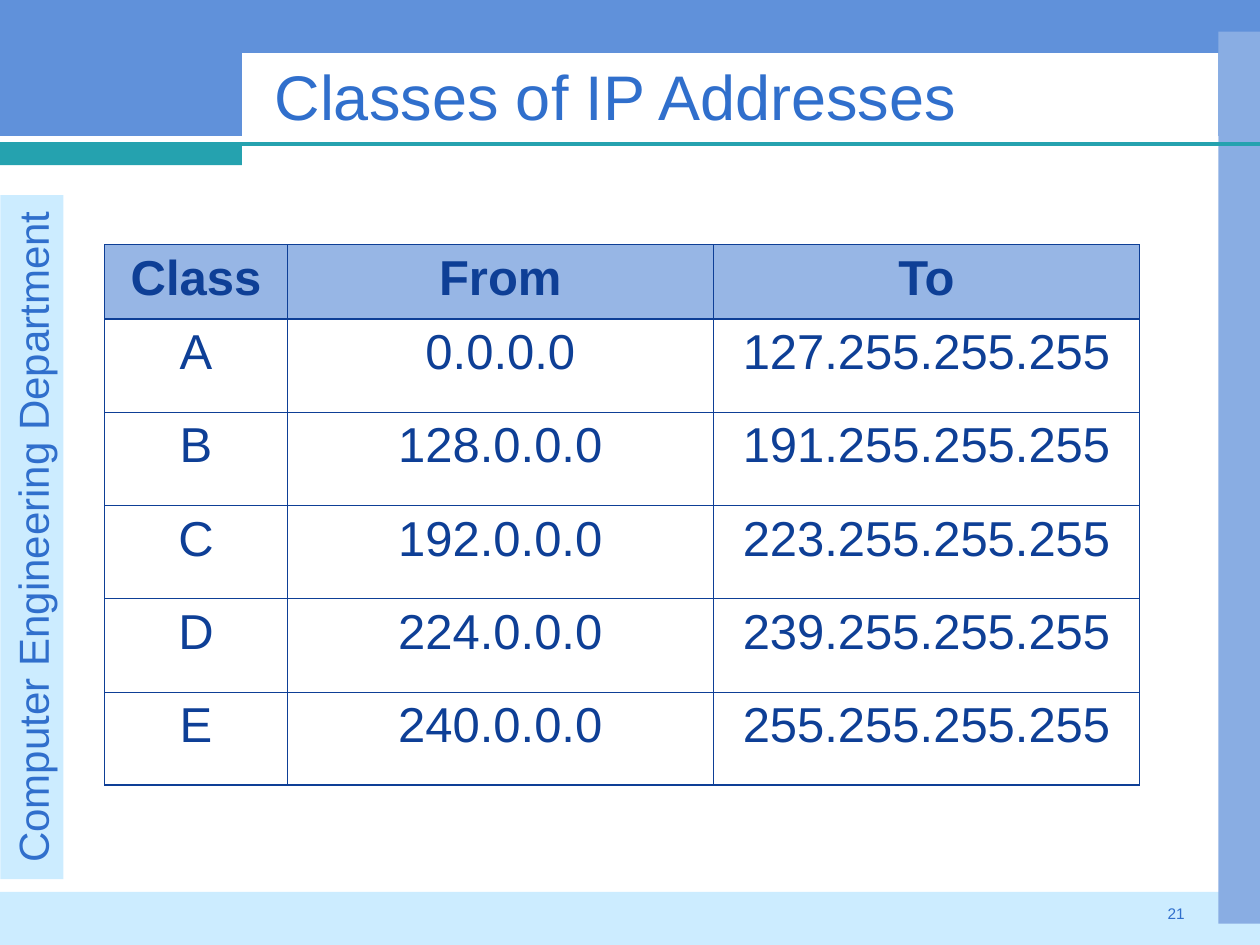
from lxml.etree import SubElement
from pptx import Presentation
from pptx.dml.color import RGBColor
from pptx.enum.shapes import MSO_CONNECTOR, MSO_SHAPE
from pptx.enum.text import MSO_ANCHOR, MSO_AUTO_SIZE, PP_ALIGN
from pptx.oxml.ns import qn
from pptx.util import Cm, Pt

COLOURS = {
    "top": "6091DA",
    "pale": "CCECFF",
    "right": "89ADE3",
    "white": "FFFFFF",
    "teal": "25A2AF",
    "text": "306FCC",
    "table": "0E3F96",
}

# colour, left, top, width, height in cm, from back to front
BANDS = [
    ("top", 0, 0, 25.4, 2.74),
    ("pale", 0, 17.98, 25.4, 1.07),
    ("right", 24.56, 0.64, 0.84, 17.98),
    ("white", 4.88, 1.07, 19.68, 1.9),
    ("teal", 0, 2.9, 4.88, 0.43),
]

ROWS = [
    ("Class", "From", "To"),
    ("A", "0.0.0.0", "127.255.255.255"),
    ("B", "128.0.0.0", "191.255.255.255"),
    ("C", "192.0.0.0", "223.255.255.255"),
    ("D", "224.0.0.0", "239.255.255.255"),
    ("E", "240.0.0.0", "255.255.255.255"),
]
COLUMN_WIDTHS = (3.68, 8.59, 8.59)
HEADER_HEIGHT, ROW_HEIGHT = 1.5, 1.88
THIN, THICK = 0.45, 1.08


def colour(name):
    return RGBColor.from_string(COLOURS[name])


def write(frame, text, size, colour_name, align, bold=False):
    frame.text = text
    para = frame.paragraphs[0]
    para.alignment = align
    font = para.font
    font.name, font.size, font.bold = "Arial", Pt(size), bold
    font.color.rgb = colour(colour_name)


def add_band(page, fill, left, top, width, height):
    band = page.shapes.add_shape(
        MSO_SHAPE.RECTANGLE, Cm(left), Cm(top), Cm(width), Cm(height))
    band.shadow.inherit = False
    band.fill.solid()
    band.fill.fore_color.rgb = colour(fill)
    band.line.fill.background()
    return band


def add_rule(page, top, width):
    """Draw a teal line from the left edge of the page."""
    rule = page.shapes.add_connector(
        MSO_CONNECTOR.STRAIGHT, 0, Cm(top), Cm(width), Cm(top))
    rule.line.color.rgb = colour("teal")
    rule.line.width = Pt(2.25)
    SubElement(rule._element.spPr, qn("a:effectLst"))


def add_department(page):
    strip = add_band(page, "pale", -6.25, 10.19, 13.79, 1.27)
    strip.rotation = 270
    write(strip.text_frame, "Computer Engineering Department", 24, "text",
          PP_ALIGN.CENTER)


def add_page_number(page, number):
    box = page.shapes.add_textbox(Cm(18.21), Cm(18.11), Cm(5.92), Cm(0.69))
    box.text_frame.word_wrap = True
    write(box.text_frame, number, 8.8, "text", PP_ALIGN.RIGHT)


def place_title(page, text):
    """Move the title placeholder over the bands and fill it."""
    title = page.shapes.title
    title.left, title.top = Cm(5.28), Cm(1.07)
    title.width, title.height = Cm(19.05), Cm(1.7)
    title.text_frame.vertical_anchor = MSO_ANCHOR.MIDDLE
    title.text_frame.auto_size = MSO_AUTO_SIZE.NONE
    write(title.text_frame, text, 36, "text", PP_ALIGN.LEFT)
    page.shapes._spTree.append(title._element)


def set_borders(cell, top, bottom):
    """Give the cell thin sides, and a top and bottom of the given points."""
    properties = cell._tc.get_or_add_tcPr()
    for side, width in zip("LRTB", (THIN, THIN, top, bottom)):
        line = SubElement(properties, qn(f"a:ln{side}"), w=str(Pt(width)))
        fill = SubElement(line, qn("a:solidFill"))
        SubElement(fill, qn("a:srgbClr"), val=COLOURS["table"])


def shade_header(cell):
    cell.fill.solid()
    cell.fill.fore_color.rgb = colour("text")
    shade = cell._tc.tcPr.find(f"{qn('a:solidFill')}/{qn('a:srgbClr')}")
    SubElement(shade, qn("a:alpha"), val="50000")


def add_class_table(page):
    last = len(ROWS) - 1
    height = HEADER_HEIGHT + last * ROW_HEIGHT
    table = page.shapes.add_table(
        len(ROWS), len(COLUMN_WIDTHS), Cm(2.11), Cm(4.93),
        Cm(sum(COLUMN_WIDTHS)), Cm(height)).table
    table.first_row = table.horz_banding = False
    for column, width in zip(table.columns, COLUMN_WIDTHS):
        column.width = Cm(width)
    for i, texts in enumerate(ROWS):
        header = i == 0
        table.rows[i].height = Cm(HEADER_HEIGHT if header else ROW_HEIGHT)
        for j, text in enumerate(texts):
            cell = table.cell(i, j)
            write(cell.text_frame, text, 28, "table", PP_ALIGN.CENTER, header)
            set_borders(cell, THICK if i == 1 else THIN,
                        THICK if i in (0, last) else THIN)
            if header:
                shade_header(cell)
            else:
                cell.fill.background()


def main():
    deck = Presentation()
    deck.slide_width, deck.slide_height = Cm(25.4), Cm(19.05)
    page = deck.slides.add_slide(deck.slide_layouts[5])
    for band in BANDS:
        add_band(page, *band)
    add_rule(page, 2.9, 25.4)
    add_department(page)
    add_page_number(page, "21")
    place_title(page, "Classes of IP Addresses")
    add_class_table(page)
    deck.save("out.pptx")


if __name__ == "__main__":
    main()
